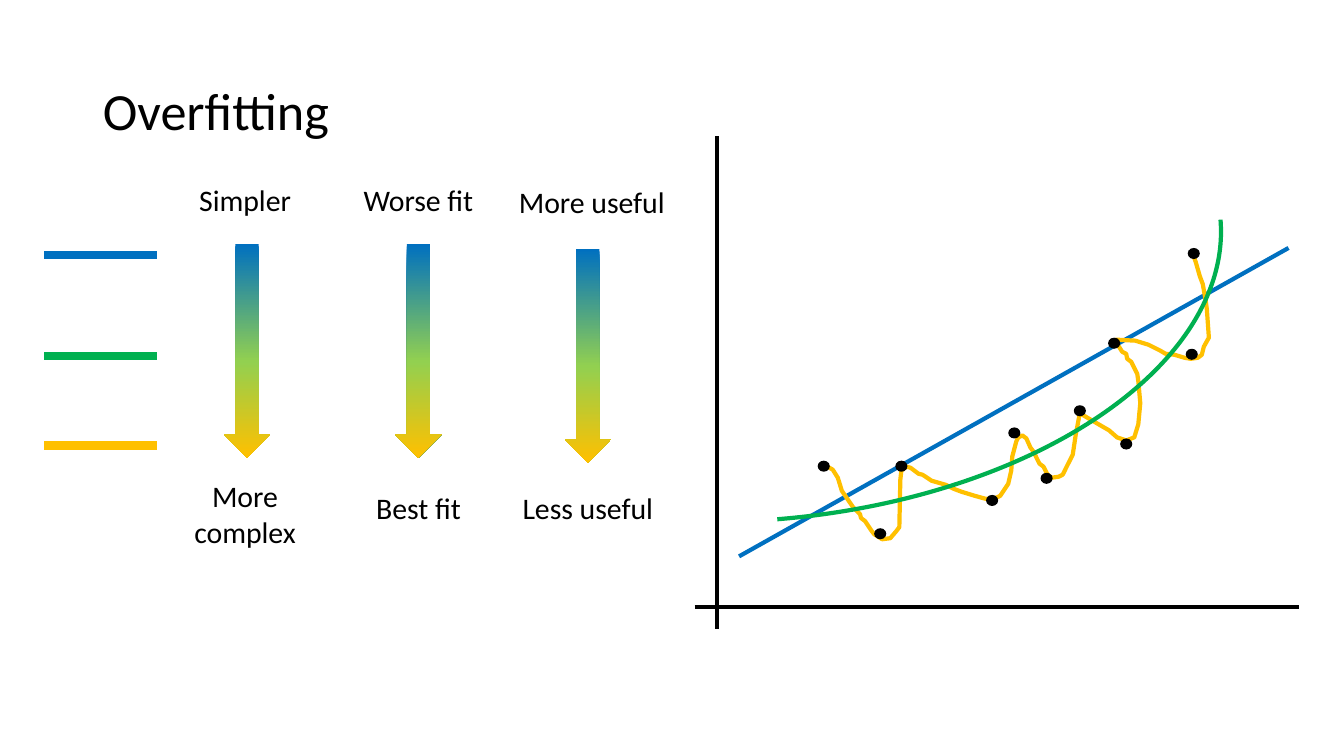
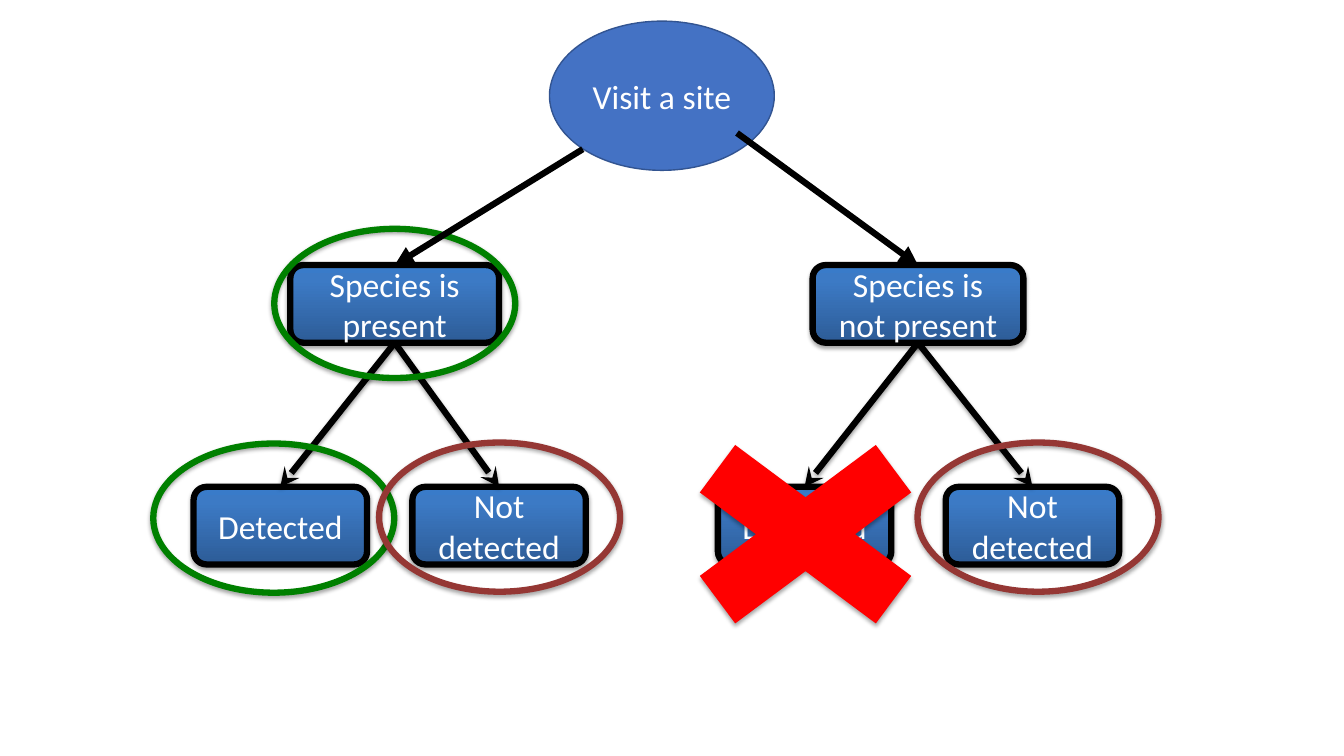
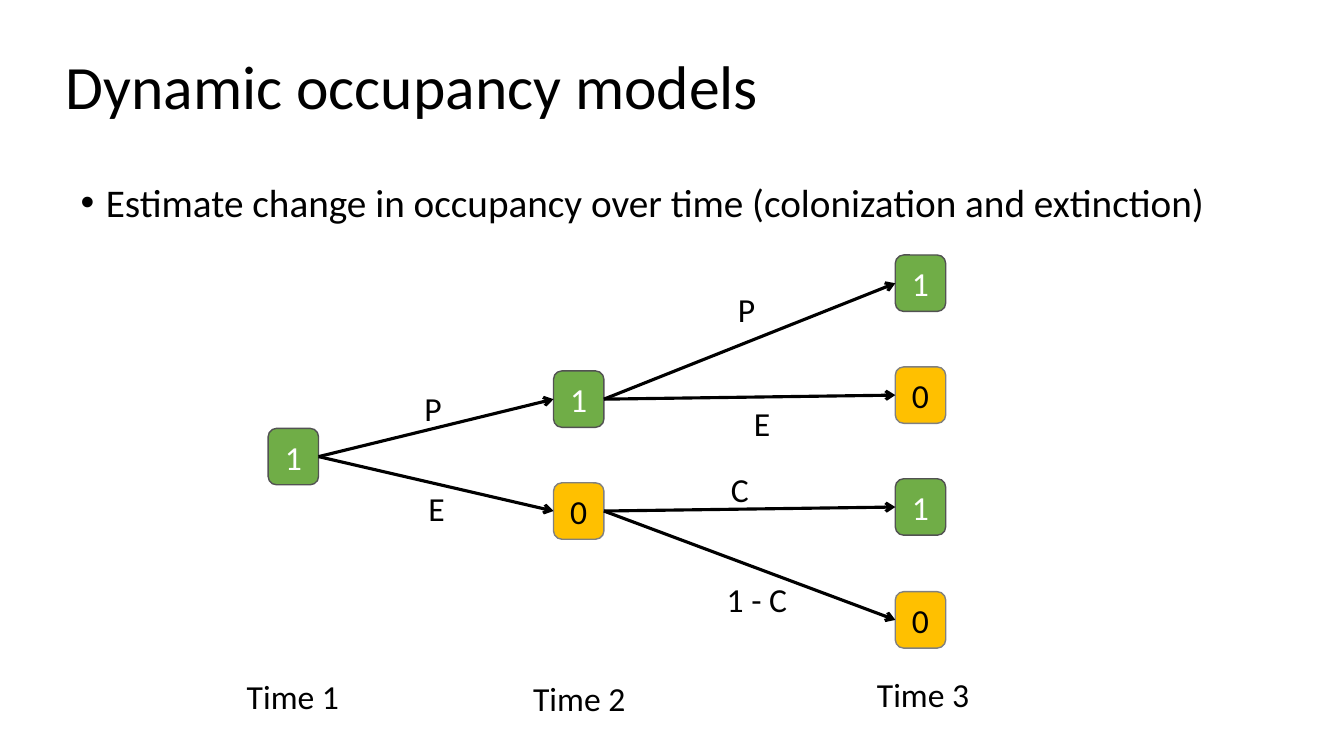
from lxml.etree import SubElement
from pptx import Presentation
from pptx.dml.color import RGBColor
from pptx.enum.shapes import MSO_CONNECTOR, MSO_SHAPE
from pptx.enum.text import MSO_ANCHOR, MSO_AUTO_SIZE, PP_ALIGN
from pptx.oxml.ns import qn
from pptx.util import Inches, Pt

COLORS = {
    "black": "000000", "white": "FFFFFF", "blue": "0070C0", "green": "00B050",
    "amber": "FFC000", "lime": "92D050", "navy": "2D5C97", "sky": "3C7AC5",
    "azure": "397BC9", "red": "FF0000", "forest": "008000", "brick": "953734",
    "site": "4472C4", "site edge": "325491", "leaf": "70AD47",
    "leaf edge": "525252", "amber edge": "808080",
}
FONT = "Calibri"
LEFT, CENTER = PP_ALIGN.LEFT, PP_ALIGN.CENTER
STRAIGHT = MSO_CONNECTOR.STRAIGHT
FIT_GRADIENT = [(0, "blue"), (55, "lime"), (100, "amber")]
BOX_GRADIENT = [(0, "navy"), (80, "sky"), (100, "azure")]


def write(shape, text, size=24, color="black", align=CENTER, anchor=MSO_ANCHOR.TOP,
          margins=(0.1, 0.05), spacing=None, bullet=None):
    frame = shape.text_frame
    frame.word_wrap = True
    frame.auto_size = MSO_AUTO_SIZE.NONE
    frame.vertical_anchor = anchor
    frame.margin_left = frame.margin_right = Inches(margins[0])
    frame.margin_top = frame.margin_bottom = Inches(margins[1])
    para = frame.paragraphs[0]
    para.alignment = align
    para.space_before = Pt(0)
    if spacing:
        para.line_spacing = spacing
    if bullet:
        properties = para._p.get_or_add_pPr()
        properties.set("marL", str(Inches(0.25)))
        properties.set("indent", str(-Inches(0.25)))
        SubElement(properties, qn("a:buFont"), typeface="Arial")
        SubElement(properties, qn("a:buChar"), char=bullet)
    span = para.add_run()
    span.text = text
    span.font.name = FONT
    span.font.size = Pt(size)
    span.font.color.rgb = RGBColor.from_string(COLORS[color])


def paint(shape, fill=None, gradient=None, angle=90, line=None, width=1, tail=None,
          shadow=None):
    properties = shape.element.spPr
    # Fill: connectors have none
    if hasattr(shape, "fill"):
        if gradient:
            shape.fill.gradient()
            shape.fill.gradient_angle = angle
            stops = properties.find(".//" + qn("a:gsLst"))
            stops.clear()
            for position, name in gradient:
                stop = SubElement(stops, qn("a:gs"), pos=str(position * 1000))
                SubElement(stop, qn("a:srgbClr"), val=COLORS[name])
        elif fill:
            shape.fill.solid()
            shape.fill.fore_color.rgb = RGBColor.from_string(COLORS[fill])
        else:
            shape.fill.background()
    # Line and arrowhead
    if line:
        shape.line.color.rgb = RGBColor.from_string(COLORS[line])
        shape.line.width = Pt(width)
    else:
        shape.line.fill.background()
    if tail:
        SubElement(properties.find(qn("a:ln")), qn("a:tailEnd"), type=tail)
    # Shadow: an opacity in percent, or none
    effects = SubElement(properties, qn("a:effectLst"))
    if shadow:
        outer = SubElement(effects, qn("a:outerShdw"), blurRad=str(Pt(3.1)),
                           dist=str(Pt(1.8)), dir="5400000", rotWithShape="0")
        tint = SubElement(outer, qn("a:srgbClr"), val=COLORS["black"])
        SubElement(tint, qn("a:alpha"), val=str(shadow * 1000))


deck = Presentation()
deck.slide_width, deck.slide_height = Inches(13.33), Inches(7.5)
TITLE_ONLY, BLANK = deck.slide_layouts[5], deck.slide_layouts[6]

# Titled slides
pages = []
for text, left, top, size, margins in [
    ("Overfitting", 0.92, 0.4, 37.3, (0.1, 0.05)),
    ("Dynamic occupancy models", 0.52, 0.16, 44, (0.13, 0.07)),
]:
    if pages:
        tree_page = deck.slides.add_slide(BLANK)
    page = deck.slides.add_slide(TITLE_ONLY)
    title = page.shapes.title
    title.left, title.top = Inches(left), Inches(top)
    title.width, title.height = Inches(11.5), Inches(1.45)
    write(title, text, size=size, align=LEFT, anchor=MSO_ANCHOR.MIDDLE,
          margins=margins, spacing=0.9)
    pages.append(page)
fit_page, model_page = pages

# Overfitting: axes, straight fit and legend
for x1, y1, x2, y2, color, width in [
    (7.33, 5.52, 12.78, 2.46, "blue", 3),
    (7.11, 1.35, 7.11, 6.24, "black", 3),
    (6.89, 6.02, 12.88, 6.02, "black", 3),
    (0.44, 2.53, 1.56, 2.53, "blue", 6),
    (0.44, 3.53, 1.56, 3.53, "green", 6),
    (0.44, 4.42, 1.56, 4.42, "amber", 6),
]:
    stroke = fit_page.shapes.add_connector(
        STRAIGHT, Inches(x1), Inches(y1), Inches(x2), Inches(y2))
    paint(stroke, line=color, width=width)

# Overfitting: wiggly fit through every point, in hundredths of an inch
wiggle_points = [
    (819, 462), (826, 466), (831, 474), (835, 487), (846, 503), (853, 510),
    (854, 514), (858, 517), (864, 526), (867, 530), (875, 535), (883, 534),
    (889, 527), (892, 523), (893, 476), (894, 467), (899, 463), (903, 464),
    (911, 470), (915, 471), (924, 477), (938, 481), (946, 485), (954, 488),
    (967, 492), (978, 495), (988, 494), (992, 492), (1000, 480), (1003, 467),
    (1004, 453), (1008, 438), (1010, 434), (1014, 432), (1018, 435), (1022, 444),
    (1025, 448), (1031, 460), (1035, 463), (1039, 471), (1043, 474), (1050, 473),
    (1054, 471), (1058, 463), (1064, 451), (1067, 431), (1068, 426), (1071, 410),
    (1088, 420), (1100, 427), (1108, 434), (1117, 437), (1125, 434), (1129, 421),
    (1131, 400), (1129, 378), (1128, 371), (1122, 359), (1118, 356), (1117, 351),
    (1113, 349), (1108, 341), (1107, 337), (1126, 338), (1139, 342), (1151, 348),
    (1156, 351), (1165, 352), (1175, 355), (1181, 356), (1188, 355), (1192, 352),
    (1194, 344), (1199, 335), (1197, 307), (1196, 299), (1193, 282), (1190, 274),
    (1186, 260), (1182, 249),
]
builder = fit_page.shapes.build_freeform(*wiggle_points[0], scale=Inches(0.01))
builder.add_line_segments(wiggle_points[1:], close=False)
paint(builder.convert_to_shape(), line="amber", width=3)

# Overfitting: data points
for x, y in [(11.78, 2.46), (11.76, 3.46), (10.99, 3.35), (11.11, 4.35),
             (10.65, 4.02), (10.32, 4.69), (10, 4.24), (9.78, 4.91),
             (8.88, 4.57), (8.67, 5.24), (8.11, 4.57)]:
    dot = fit_page.shapes.add_shape(
        MSO_SHAPE.OVAL, Inches(x), Inches(y), Inches(0.12), Inches(0.11))
    paint(dot, fill="black")

# Overfitting: curved fit
curve = fit_page.shapes.add_shape(
    MSO_SHAPE.ARC, Inches(4.89), Inches(-2.07), Inches(5.22), Inches(9.24))
curve.rotation = 85.4
paint(curve, line="green", width=3)

# Overfitting: three scales, each an arrow between two labels
for arrow_at, labels in [
    ((2.22, 2.42), [("Simpler", 1.57, 1.75, 0.46), ("More complex", 1.57, 4.69, 0.82)]),
    ((3.92, 2.42), [("Worse fit", 3.29, 1.75, 0.46), ("Best fit", 3.29, 4.81, 0.46)]),
    ((5.6, 2.47), [("More useful", 5.01, 1.77, 0.46), ("Less useful", 4.97, 4.81, 0.46)]),
]:
    arrow = fit_page.shapes.add_shape(
        MSO_SHAPE.DOWN_ARROW, *map(Inches, arrow_at), Inches(0.46), Inches(2.12))
    paint(arrow, gradient=FIT_GRADIENT, angle=270)
    for text, left, top, height in labels:
        label = fit_page.shapes.add_textbox(
            Inches(left), Inches(top), Inches(1.72), Inches(height))
        write(label, text, size=21.3)

# Detection tree: outcome boxes
outcomes = {}
for name, text, left, top, width in [
    ("present", "Species is present", 2.88, 2.63, 2.07),
    ("absent", "Species is not present", 8.06, 2.63, 2.09),
    ("present missed", "Not detected", 4.09, 4.83, 1.72),
    ("present seen", "Detected", 1.92, 4.83, 1.72),
    ("absent missed", "Not detected", 9.38, 4.83, 1.72),
    ("absent seen", "Detected", 7.12, 4.83, 1.72),
]:
    box = tree_page.shapes.add_shape(
        MSO_SHAPE.FLOWCHART_ALTERNATE_PROCESS,
        Inches(left), Inches(top), Inches(width), Inches(0.77))
    paint(box, gradient=BOX_GRADIENT, line="black", width=4.5, shadow=35)
    write(box, text, color="white", anchor=MSO_ANCHOR.MIDDLE, margins=(0.13, 0.07))
    outcomes[name] = box

# Detection tree: branches from presence to detection
for parent in ("present", "absent"):
    for result in ("seen", "missed"):
        branch = tree_page.shapes.add_connector(STRAIGHT, 0, 0, 0, 0)
        branch.begin_connect(outcomes[parent], 2)
        branch.end_connect(outcomes[f"{parent} {result}"], 0)
        paint(branch, line="black", width=4.5, tail="stealth", shadow=38)

# Detection tree: impossible outcome crossed out
cross = tree_page.shapes.add_shape(
    MSO_SHAPE.MATH_MULTIPLY, Inches(6.31), Inches(4.05), Inches(3.36), Inches(2.5))
cross.adjustments[0] = 0.235
paint(cross, fill="red", shadow=35)

# Detection tree: rings around the known and the ambiguous outcomes
for left, top, color in [(1.52, 4.4, "forest"), (2.72, 2.27, "forest"),
                         (3.76, 4.39, "brick"), (9.1, 4.39, "brick")]:
    ring = tree_page.shapes.add_shape(
        MSO_SHAPE.OVAL, Inches(left), Inches(top), Inches(2.39), Inches(1.48))
    paint(ring, line=color, width=4.5, shadow=35)

# Detection tree: root and its branches
root = tree_page.shapes.add_shape(
    MSO_SHAPE.OVAL, Inches(5.45), Inches(0.21), Inches(2.23), Inches(1.48))
paint(root, fill="site", line="site edge")
write(root, "Visit a site", color="white", anchor=MSO_ANCHOR.MIDDLE)
for x, y, name in [(5.78, 1.48, "present"), (7.31, 1.32, "absent")]:
    branch = tree_page.shapes.add_connector(STRAIGHT, Inches(x), Inches(y), 0, 0)
    branch.end_connect(outcomes[name], 0)
    paint(branch, line="black", width=4.5, tail="triangle")

# Occupancy models: bullet
body = model_page.shapes.add_textbox(
    Inches(0.67), Inches(1.75), Inches(12), Inches(0.67))
write(body, "Estimate change in occupancy over time (colonization and extinction)",
      size=28, align=LEFT, margins=(0.13, 0.07), spacing=0.9, bullet="•")

# Occupancy models: states, one column per time step
states = []
for left, top, state in [
    (2.66, 4.25, "1"),
    (5.49, 3.68, "1"), (5.49, 4.79, "0"),
    (8.88, 2.53, "1"), (8.88, 3.64, "0"), (8.88, 4.75, "1"), (8.88, 5.87, "0"),
]:
    node = model_page.shapes.add_shape(
        MSO_SHAPE.ROUNDED_RECTANGLE, Inches(left), Inches(top), Inches(0.5), Inches(0.56))
    fill, color = ("leaf", "white") if state == "1" else ("amber", "black")
    paint(node, fill=fill, line=f"{fill} edge")
    write(node, state, color=color, anchor=MSO_ANCHOR.MIDDLE)
    states.append(node)

# Occupancy models: each state leads to the next two
for parent in range(3):
    for child in (2 * parent + 1, 2 * parent + 2):
        step = model_page.shapes.add_connector(STRAIGHT, 0, 0, 0, 0)
        step.begin_connect(states[parent], 3)
        step.end_connect(states[child], 1)
        paint(step, line="black", width=2.25, tail="arrow")

# Occupancy models: time steps and transition labels
for text, left, top, width, align in [
    ("Time 1", 2.24, 6.66, 1.33, CENTER),
    ("Time 2", 5.08, 6.68, 1.33, CENTER),
    ("Time 3", 8.49, 6.64, 1.33, CENTER),
    ("P", 4.11, 3.8, 0.44, LEFT),
    ("E", 4.15, 4.79, 0.44, LEFT),
    ("P", 7.22, 2.82, 0.44, LEFT),
    ("E", 7.38, 3.95, 0.44, LEFT),
    ("C", 7.15, 4.6, 0.44, LEFT),
    ("1 - C", 7.11, 5.69, 0.97, LEFT),
]:
    label = model_page.shapes.add_textbox(
        Inches(left), Inches(top), Inches(width), Inches(0.5))
    write(label, text, align=align)

deck.save("out.pptx")
